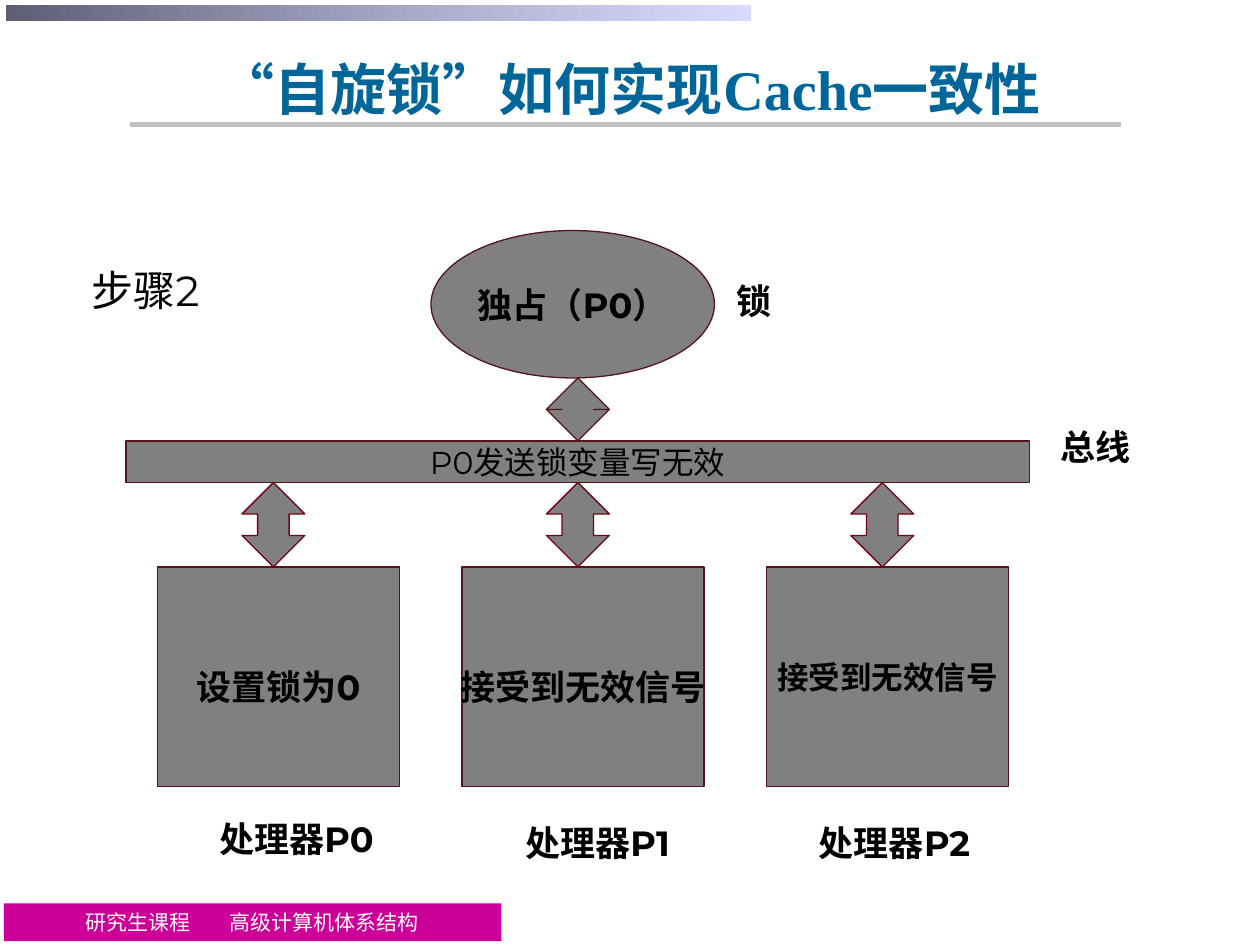
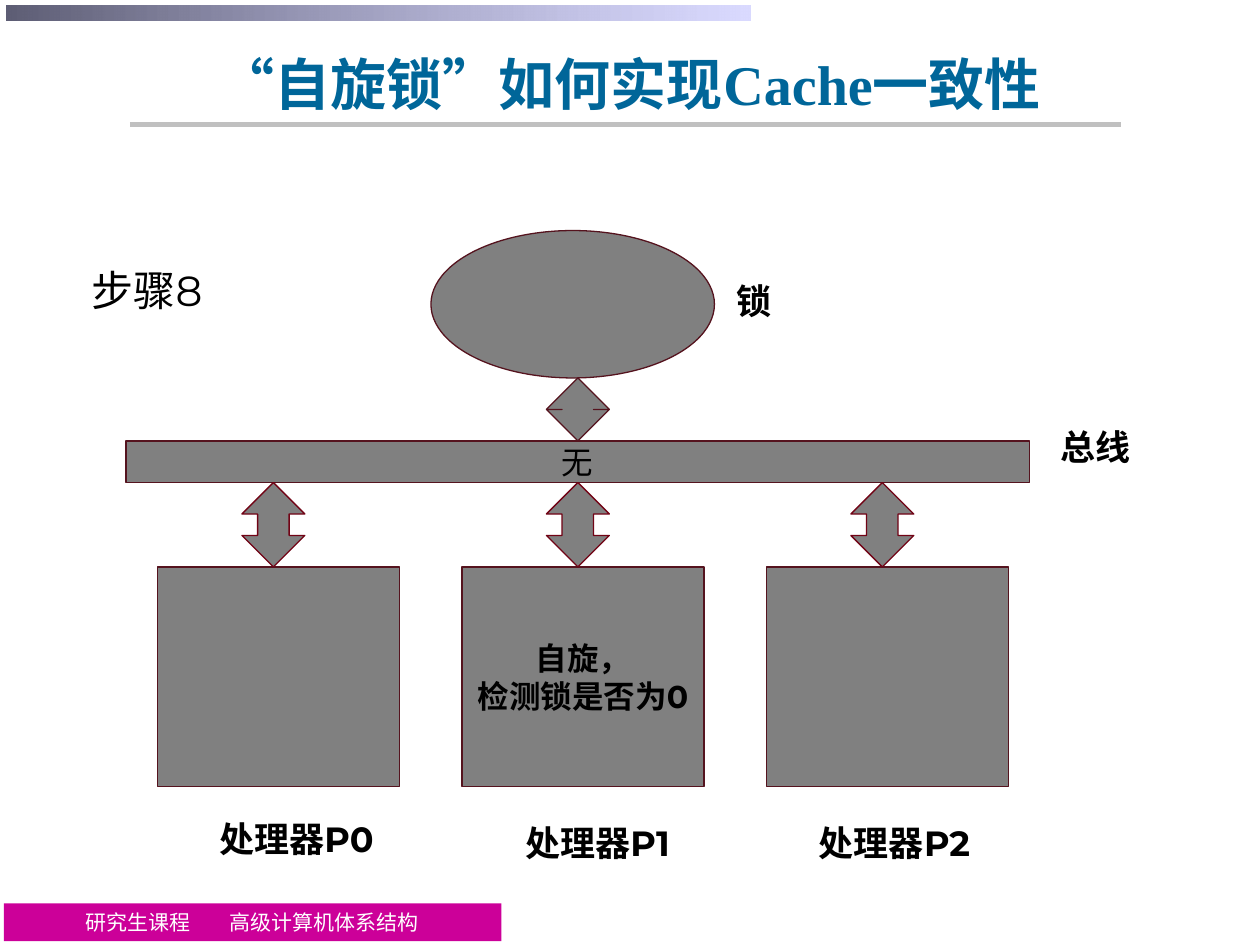
from dataclasses import dataclass

from lxml.etree import SubElement
from pptx import Presentation
from pptx.dml.color import RGBColor
from pptx.enum.lang import MSO_LANGUAGE_ID as LANG
from pptx.enum.shapes import MSO_CONNECTOR as CONNECTOR, MSO_SHAPE as SHAPE
from pptx.enum.text import MSO_ANCHOR as ANCHOR, PP_ALIGN as ALIGN
from pptx.oxml.ns import qn
from pptx.util import Inches, Pt


@dataclass(frozen=True)
class Theme:
    heading_font: str = "Times New Roman"
    body_font: str = "Montserrat"
    title: str = "006699"
    rule: str = "C0C0C0"
    footer: str = "CC0099"
    band_light: str = "CCCCFF"
    band_dark: str = "5E5E75"
    node: str = "808080"
    outline: str = "55131E"
    arrow_outline: str = "710315"
    ink: str = "000000"
    white: str = "FFFFFF"
    title_size: int = 32
    step_size: int = 24
    label_size: int = 20
    bus_size: int = 18
    footer_size: int = 12


T = Theme()
TITLE = "“自旋锁”如何实现Cache一致性"
FOOTER = "研究生课程\t高级计算机体系结构"

# Diagram grid
PITCH = 7.25 / 3
BOX_LEFT, BOX_TOP = 1.25, 4.5
ARROW_LEFT = 1.92
BUS_TOP, BUS_HEIGHT = 3.5, 0.33
PROCESSOR_LABELS = [("处理器P0", 1.64, 6.44), ("处理器P1", 4.07, 6.47),
                    ("处理器P2", 6.4, 6.47)]

# What each step shows: processor boxes hold (text, size, line spacing)
STEPS = [
    dict(step="步骤2", title_height=0.74, lock="独占（P0）",
         bus="P0发送锁变量写无效",
         boxes=[("设置锁为0", 20, 1.45), ("接受到无效信号", 20, 1.45),
                ("接受到无效信号", 18, 1)]),
    dict(step="步骤8", title_height=0.66, lock="", bus="无",
         boxes=[None, ("自旋，\n检测锁是否为0", 18, 1), None]),
]


def rgb(color):
    return RGBColor.from_string(color)


def write(sp, text, size, color=T.ink, font=T.body_font, bold=True,
          align=ALIGN.CENTER, anchor=ANCHOR.MIDDLE, wrap=False, spacing=1):
    tf = sp.text_frame
    tf.text = text
    tf.word_wrap = wrap
    tf.vertical_anchor = anchor
    for p in tf.paragraphs:
        p.alignment = align
        p.line_spacing = spacing
        for r in p.runs:
            r.font.name, r.font.size, r.font.bold = font, Pt(size), bold
            r.font.color.rgb = rgb(color)
            r.font.language_id = LANG.SIMPLIFIED_CHINESE


def add_block(slide, kind, x, y, w, h, fill=T.node, line=T.outline):
    sp = slide.shapes.add_shape(kind, Inches(x), Inches(y), Inches(w), Inches(h))
    sp.shadow.inherit = False
    sp.fill.solid()
    sp.fill.fore_color.rgb = rgb(fill)
    if line:
        sp.line.color.rgb = rgb(line)
        sp.line.width = Pt(0.75)
    else:
        sp.line.fill.background()
    return sp


def add_text(slide, text, x, y, w, h, size=T.label_size, **style):
    sp = slide.shapes.add_textbox(Inches(x), Inches(y), Inches(w), Inches(h))
    write(sp, text, size, **style)


def add_label(slide, text, x, y, w, **style):
    add_text(slide, text, x, y, w, 0.44, align=ALIGN.LEFT, anchor=ANCHOR.TOP, **style)


def add_arrow(slide, x, y, h, head, line):
    sp = add_block(slide, SHAPE.UP_DOWN_ARROW, x, y, 0.5, h, line=line)
    # Head length first, then shaft width
    sp.adjustments[0], sp.adjustments[1] = head, 0.5


def add_footer(slide):
    sp = add_block(slide, SHAPE.RECTANGLE, 0.03, 7.17, 3.95, 0.3, T.footer, None)
    write(sp, FOOTER, T.footer_size, T.white, T.heading_font, bold=False,
          align=ALIGN.LEFT)
    tf = sp.text_frame
    tf.margin_left = Inches(0.65)
    tf.margin_top = tf.margin_bottom = 0
    tabs = SubElement(tf.paragraphs[0]._p.get_or_add_pPr(), qn("a:tabLst"))
    SubElement(tabs, qn("a:tab"), pos=str(Inches(1.14)), algn="l")


def add_band(slide):
    sp = add_block(slide, SHAPE.RECTANGLE, 0.05, 0.04, 5.91, 0.12, line=None)
    sp.fill.gradient()
    sp.fill.gradient_angle = 180
    for stop, color in zip(sp.fill.gradient_stops, (T.band_light, T.band_dark)):
        stop.color.rgb = rgb(color)
    light = next(sp._element.iter(qn("a:srgbClr")))
    SubElement(light, qn("a:alpha"), val="72000")


def add_frame(slide, title_height):
    add_footer(slide)
    add_band(slide)
    rule = slide.shapes.add_connector(CONNECTOR.STRAIGHT, Inches(1.03), Inches(0.99),
                                      Inches(8.9), Inches(0.99))
    rule.line.color.rgb = rgb(T.rule)
    rule.line.width = Pt(2.75)
    SubElement(rule._element.spPr, qn("a:effectLst"))
    add_text(slide, TITLE, 0.75, 0.33, 8.5, title_height, T.title_size,
             color=T.title, font=T.heading_font, wrap=True)


def add_diagram(slide, step, lock, bus, boxes):
    # Lock and bus
    sp = add_block(slide, SHAPE.OVAL, 3.42, 1.83, 2.25, 1.17)
    if lock:
        write(sp, lock, T.label_size)
    sp = add_block(slide, SHAPE.RECTANGLE, 1, BUS_TOP, 7.17, BUS_HEIGHT)
    write(sp, bus, T.bus_size, bold=False)

    # Processors
    for i, content in enumerate(boxes):
        sp = add_block(slide, SHAPE.RECTANGLE, BOX_LEFT + i * PITCH, BOX_TOP, 1.92, 1.74)
        if content:
            text, size, spacing = content
            write(sp, text, size, spacing=spacing)

    # Arrows to and from the bus
    bus_bottom = BUS_TOP + BUS_HEIGHT
    for i in range(len(boxes)):
        add_arrow(slide, ARROW_LEFT + i * PITCH, bus_bottom, BOX_TOP - bus_bottom,
                  0.26, T.arrow_outline)
    add_arrow(slide, ARROW_LEFT + PITCH, 3, 0.5, 0.2, T.outline)

    # Labels
    add_label(slide, "锁", 5.75, 2.17, 0.5)
    for text, x, y in PROCESSOR_LABELS:
        add_label(slide, text, x, y, 1.45, wrap=True)
    add_label(slide, "总线", 8.32, 3.33, 0.8)
    add_label(slide, step, 0.63, 2.05, 1.1, size=T.step_size, bold=False, wrap=True)


def main():
    prs = Presentation()
    prs.slide_width, prs.slide_height = Inches(10), Inches(7.5)
    for content in STEPS:
        slide = prs.slides.add_slide(prs.slide_layouts[6])
        add_frame(slide, content["title_height"])
        add_diagram(slide, content["step"], content["lock"], content["bus"],
                    content["boxes"])
    prs.save("out.pptx")


if __name__ == "__main__":
    main()
